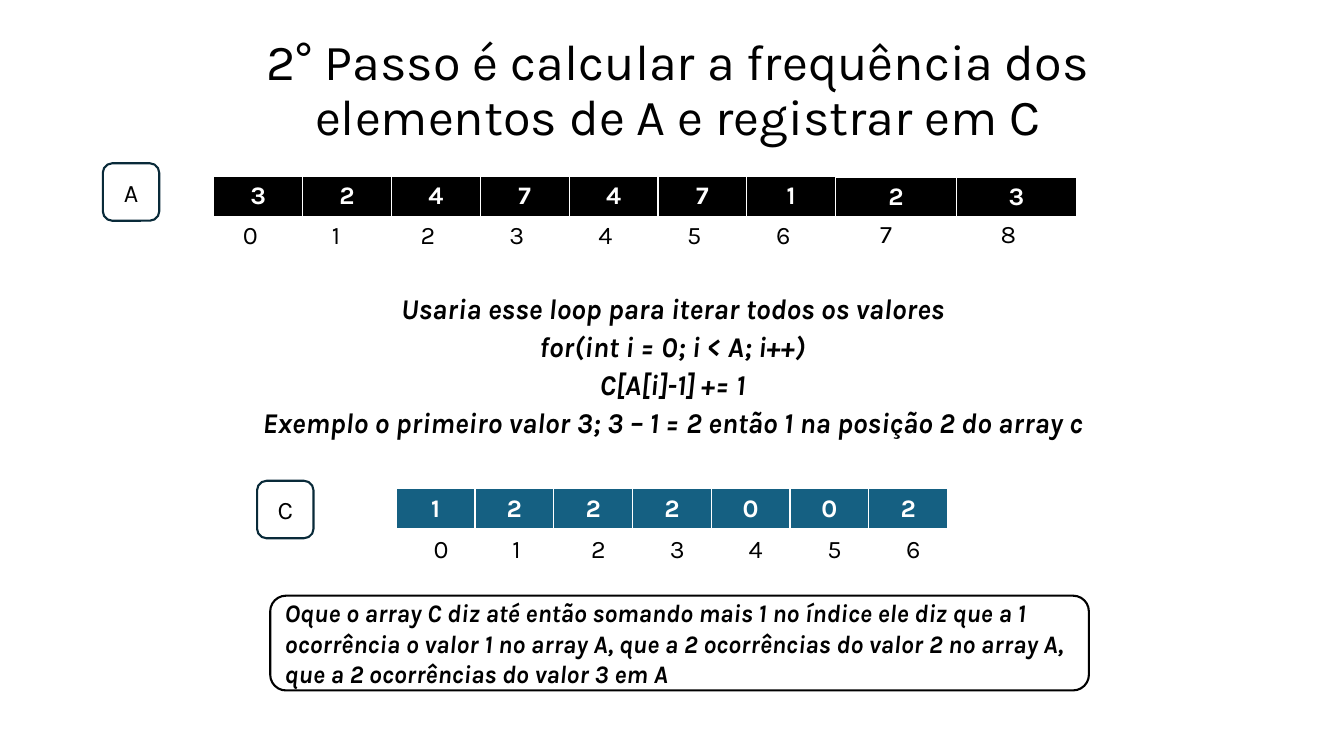
import pptx
import pptx.dml.color
import pptx.enum.shapes
import pptx.enum.text
import pptx.oxml
import pptx.oxml.ns
import pptx.util

Inches = pptx.util.Inches
Pt = pptx.util.Pt
RGBColor = pptx.dml.color.RGBColor
PP_ALIGN = pptx.enum.text.PP_ALIGN
MSO_ANCHOR = pptx.enum.text.MSO_ANCHOR
qn = pptx.oxml.ns.qn

BLACK = RGBColor(0x00, 0x00, 0x00)
WHITE = RGBColor(0xFF, 0xFF, 0xFF)
TEAL = RGBColor(0x15, 0x60, 0x82)
NAVY = RGBColor(0x09, 0x2A, 0x39)

FONT = "Karla"
NO_STYLE = "{2D5ABB26-0587-4C30-8999-92F81FD0307C}"
BORDER_WIDTHS = {"lnL": 1, "lnR": 1, "lnT": 1, "lnB": 3}
ROW_HEIGHT = 0.41


def format_text(tf, size, color, align, bold=False, italic=False):
    for p in tf.paragraphs:
        p.alignment = align
        for r in p.runs:
            r.font.name = FONT
            r.font.size = Pt(size)
            r.font.bold = bold
            r.font.italic = italic
            r.font.color.rgb = color


def place(sp, box):
    sp.left, sp.top, sp.width, sp.height = [Inches(v) for v in box]


def fill_placeholder(sp, box, text, anchor):
    place(sp, box)
    tf = sp.text_frame
    tf.text = text
    tf.word_wrap = True
    tf.auto_size = pptx.enum.text.MSO_AUTO_SIZE.NONE
    tf.vertical_anchor = anchor
    return tf


def add_title(slide, box, text):
    tf = fill_placeholder(slide.shapes.title, box, text, MSO_ANCHOR.BOTTOM)
    format_text(tf, 36, BLACK, PP_ALIGN.CENTER)
    tf.paragraphs[0].line_spacing = 0.9


def add_loop_text(slide, box, lines):
    sp = slide.placeholders[1]
    tf = fill_placeholder(sp, box, "\n".join(lines), MSO_ANCHOR.TOP)
    sp.fill.solid()
    sp.fill.fore_color.rgb = WHITE
    format_text(tf, 20.4, BLACK, PP_ALIGN.CENTER, bold=True, italic=True)
    for i, p in enumerate(tf.paragraphs):
        p.line_spacing = 0.7
        p.space_before = Pt(10 if i else 0)


def add_borders(cell):
    tcPr = cell._tc.get_or_add_tcPr()
    for tag, width in BORDER_WIDTHS.items():
        tcPr.append(pptx.oxml.parse_xml(
            f'<a:{tag} {pptx.oxml.ns.nsdecls("a")} w="{Pt(width)}">'
            f'<a:solidFill><a:srgbClr val="{WHITE}"/></a:solidFill></a:{tag}>'))


def add_row(slide, box, values, fill=None):
    """One-row table: filled cells hold values, unfilled cells hold indices."""
    n = len(values)
    table = slide.shapes.add_table(1, n, *[Inches(v) for v in box]).table
    table.first_row = table.horz_banding = False
    table._tbl.tblPr.find(qn("a:tableStyleId")).text = NO_STYLE
    for col, value in enumerate(values):
        table.columns[col].width = Inches(box[2] / n)
        cell = table.cell(0, col)
        cell.text = str(value)
        if fill is None:
            cell.fill.background()
            format_text(cell.text_frame, 18, BLACK, PP_ALIGN.LEFT)
        else:
            add_borders(cell)
            cell.fill.solid()
            cell.fill.fore_color.rgb = fill
            format_text(cell.text_frame, 18, WHITE, PP_ALIGN.CENTER, bold=True)


def add_array(slide, box, values, fill, index_offset, first_index=0):
    """Value row at the box, with its index row shifted by index_offset."""
    left, top, width, height = box
    dx, dy = index_offset
    add_row(slide, box, values, fill)
    indices = range(first_index, first_index + len(values))
    add_row(slide, (left + dx, top + dy, width, ROW_HEIGHT), indices)


def add_round_box(slide, box, text, line, align, fill=None, emphasis=False):
    sp = slide.shapes.add_shape(
        pptx.enum.shapes.MSO_SHAPE.ROUNDED_RECTANGLE, *[Inches(v) for v in box])
    sp.shadow.inherit = False
    if fill is None:
        sp.fill.background()
    else:
        sp.fill.solid()
        sp.fill.fore_color.rgb = fill
    sp.line.color.rgb = line
    sp.line.width = Pt(1.5)
    tf = sp.text_frame
    tf.text = text
    tf.word_wrap = True
    tf.vertical_anchor = MSO_ANCHOR.MIDDLE
    format_text(tf, 18, BLACK, align, bold=emphasis, italic=emphasis)


def build_slide(prs):
    slide = prs.slides.add_slide(prs.slide_layouts[0])

    # Title and loop explanation
    add_title(slide, (1.67, 0.3, 10.11, 1.2),
              "2° Passo é calcular a frequência dos elementos de A e registrar em C")
    add_loop_text(slide, (1.67, 2.93, 10, 1.56), [
        "Usaria esse loop para iterar todos os valores",
        "for(int i = 0; i < A; i++)",
        "C[A[i]-1] += 1",
        "Exemplo o primeiro valor 3; 3 – 1 = 2 então 1 na posição 2 do array c",
    ])

    # Array A, in two adjoining tables
    add_array(slide, (2.12, 1.75, 6.17, ROW_HEIGHT), [3, 2, 4, 7, 4, 7, 1],
              BLACK, (0.19, 0.4))
    add_array(slide, (8.29, 1.76, 2.39, 0.4), [2, 3], BLACK, (0.34, 0.38),
              first_index=7)

    # Array C
    add_array(slide, (3.93, 4.85, 5.47, ROW_HEIGHT), [1, 2, 2, 2, 0, 0, 2],
              TEAL, (0.27, 0.41))

    # Array labels
    for label, left, top in (("C", 2.55, 4.77), ("A", 1.02, 1.62)):
        add_round_box(slide, (left, top, 0.56, 0.57), label, NAVY,
                      PP_ALIGN.CENTER)

    # Closing note
    add_round_box(
        slide, (2.68, 5.91, 8.12, 0.94),
        "Oque o array C diz até então somando mais 1 no índice ele diz que a 1 "
        "ocorrência o valor 1 no array A, que a 2 ocorrências do valor 2 no "
        "array A, que a 2 ocorrências do valor 3 em A",
        BLACK, PP_ALIGN.LEFT, fill=WHITE, emphasis=True)


def main():
    prs = pptx.Presentation()
    prs.slide_width = Inches(13.33)
    prs.slide_height = Inches(7.5)
    build_slide(prs)
    prs.save("out.pptx")


if __name__ == "__main__":
    main()
